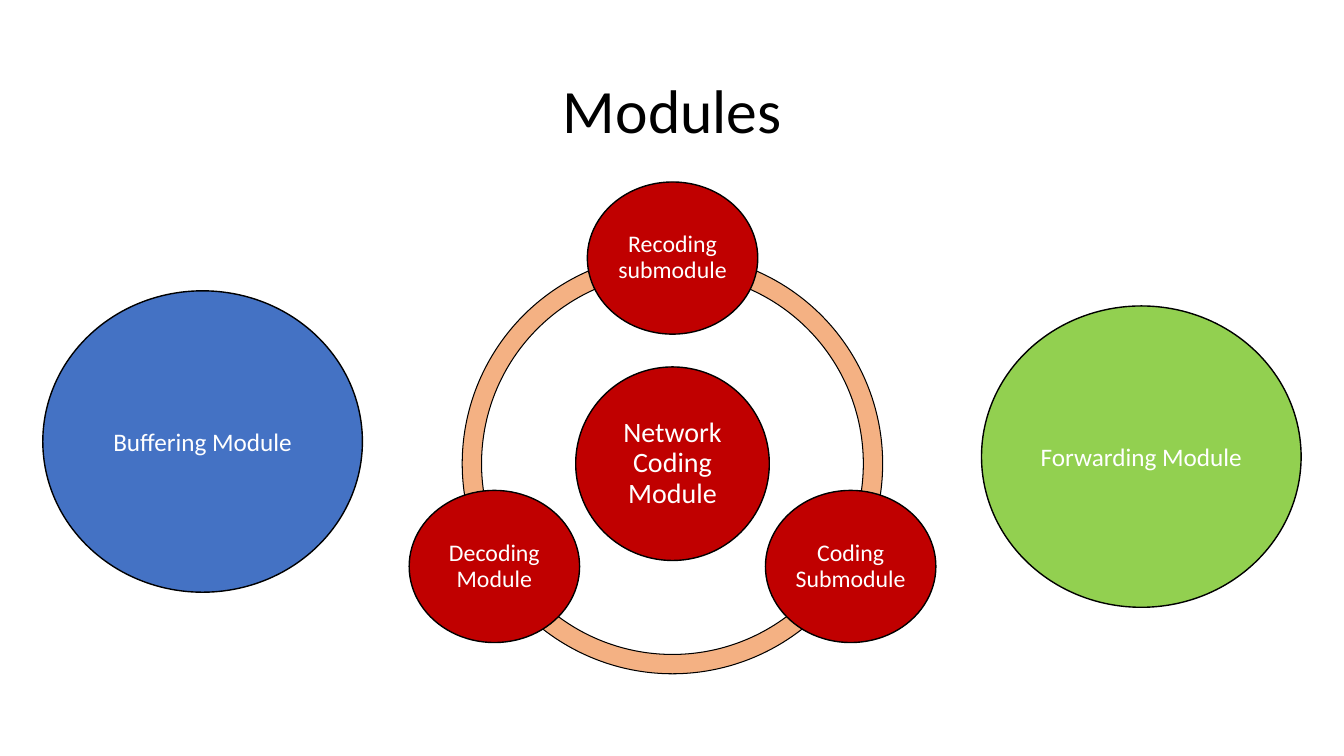
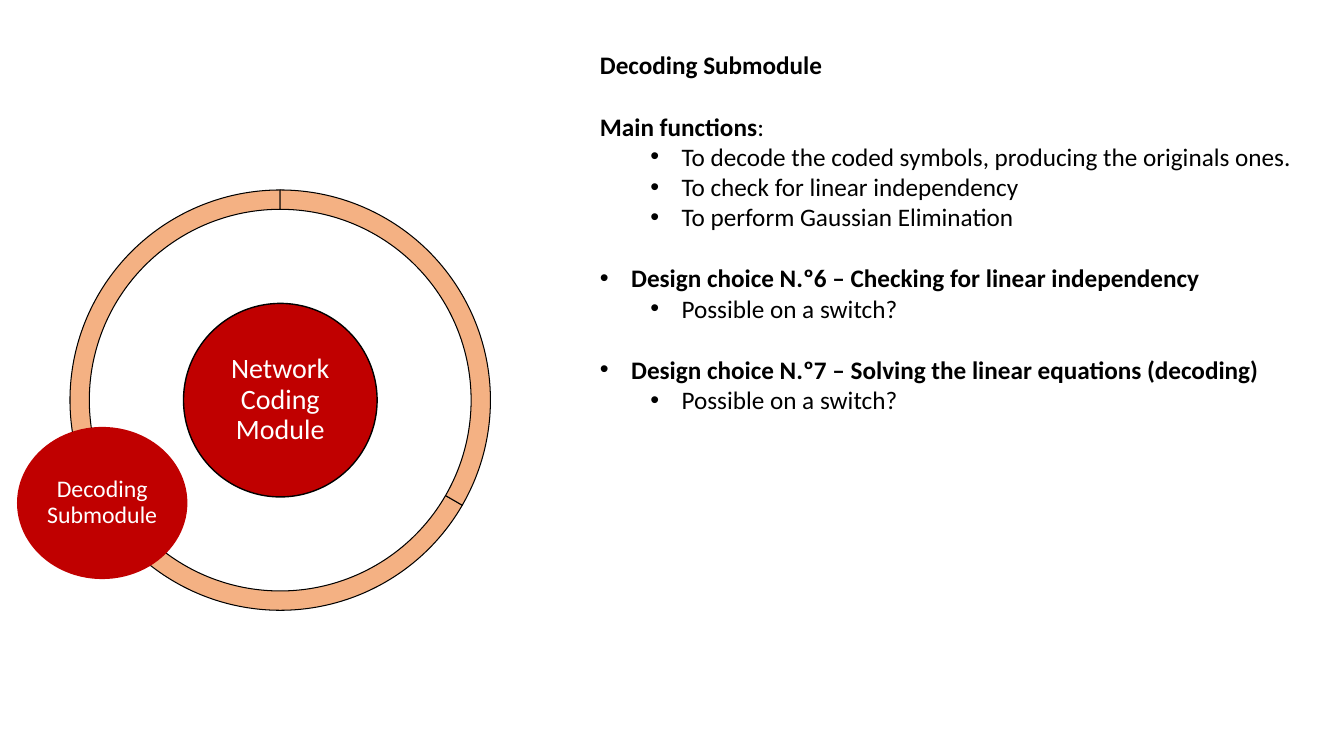
from math import cos, radians, sin

from lxml.etree import SubElement
from pptx import Presentation
from pptx.dml.color import RGBColor
from pptx.enum.shapes import MSO_SHAPE as Shape
from pptx.enum.text import MSO_ANCHOR as Anchor, MSO_AUTO_SIZE as AutoSize, PP_ALIGN as Align
from pptx.oxml.ns import qn
from pptx.util import Inches, Pt

# Shared look
FONT = "Calibri"
BLACK, WHITE = "000000", "FFFFFF"
RED, BLUE, GREEN, PEACH = "C00000", "4472C4", "92D050", "F4B183"

# Ring geometry: angles run clockwise from the right
RING_SIZE, RING_THICKNESS = 4.17, 0.046
ARC_STARTS, ARC_SWEEP = (150, 30, 270), 120
HUB_SIZE, NODE_SIZE, ORBIT = (1.92, 1.92), (1.69, 1.51), 2.04
HUB_TEXT = "Network Coding Module"
TOP, LOWER_RIGHT, LOWER_LEFT = 270, 30, 150

# Slide 1: centre, fill and label of the outer modules
MODULE_SIZE = (3.17, 2.99)
MODULES = [
    ((2.01, 4.38), BLUE, "Buffering Module"),
    ((11.32, 4.53), GREEN, "Forwarding Module"),
]
SUBMODULES = [
    (TOP, "Recoding submodule"),
    (LOWER_RIGHT, "Coding Submodule"),
    (LOWER_LEFT, "Decoding Module"),
]

# Slide 2: style and text runs (text, bold) of each paragraph
DECODING_NODE = [(LOWER_LEFT, "Decoding Submodule")]
DECODING_NOTES = [
    ("heading", [("Main functions", True), (":", False)]),
    ("detail", [("To decode the coded symbols, producing the originals ones.", False)]),
    ("detail", [("To check for linear independency", False)]),
    ("detail", [("To perform Gaussian Elimination", False)]),
    ("choice", [("Design choice N.º6 – Checking for linear independency", True)]),
    ("detail", [("Possible on a switch?", False)]),
    ("choice", [("Design choice N.º7 – Solving the linear equations (decoding)", True)]),
    ("detail", [("Possible on a switch?", False)]),
]
# Level, left margin, hanging indent, space before in points, bullet
NOTE_STYLES = {
    "heading": (0, 0, 0, 0, None),
    "choice": (0, 0.31, 0.31, 22, "•"),
    "detail": (1, 0.81, 0.31, 0, "•"),
}


def color(value):
    return RGBColor.from_string(value)


def set_all(target, **values):
    for name, value in values.items():
        setattr(target, name, value)


def place(item, left, top, width, height):
    set_all(item, left=Inches(left), top=Inches(top),
            width=Inches(width), height=Inches(height))


def write(para, text, size, ink=BLACK, bold=False):
    span = para.add_run()
    span.text = text
    set_all(span.font, name=FONT, size=Pt(size), bold=bold)
    span.font.color.rgb = color(ink)


def add_centered(page, kind, center, size, fill, line):
    """Add a filled shape around its centre; a line of 0 means none."""
    width, height = size
    shape = page.shapes.add_shape(
        kind, Inches(center[0] - width / 2), Inches(center[1] - height / 2),
        Inches(width), Inches(height))
    shape.shadow.inherit = False
    shape.fill.solid()
    shape.fill.fore_color.rgb = color(fill)
    if line:
        shape.line.color.rgb = color(BLACK)
        shape.line.width = Pt(line)
    else:
        shape.line.fill.background()
    return shape


def add_circle(page, center, size, fill, label, points, inset=0.02, spacing=0.9, line=1):
    frame = add_centered(page, Shape.OVAL, center, size, fill, line).text_frame
    margin = Inches(inset)
    set_all(frame, word_wrap=True, vertical_anchor=Anchor.MIDDLE, margin_left=margin,
            margin_right=margin, margin_top=margin, margin_bottom=margin)
    para = frame.paragraphs[0]
    set_all(para, alignment=Align.CENTER, line_spacing=spacing)
    write(para, label, points, WHITE)


def add_ring(page, center, nodes, node_line):
    """Draw three arcs, the hub and the nodes orbiting it."""
    for start in ARC_STARTS:
        arc = add_centered(page, Shape.BLOCK_ARC, center, (RING_SIZE, RING_SIZE), PEACH, 0.75)
        # One degree is 60000 units, and adjustments count in 100000 units
        arc.adjustments[0] = start * 0.6
        arc.adjustments[1] = (start + ARC_SWEEP) % 360 * 0.6
        arc.adjustments[2] = RING_THICKNESS
    add_circle(page, center, HUB_SIZE, RED, HUB_TEXT, 20, inset=0.03)
    for angle, label in nodes:
        spot = (center[0] + ORBIT * cos(radians(angle)),
                center[1] + ORBIT * sin(radians(angle)))
        add_circle(page, spot, NODE_SIZE, RED, label, 17, line=node_line)


def set_title(page, text, box, size, bold, align, anchor, spacing):
    title = page.shapes.title
    place(title, *box)
    set_all(title.text_frame, word_wrap=True, auto_size=AutoSize.NONE, vertical_anchor=anchor)
    para = title.text_frame.paragraphs[0]
    set_all(para, alignment=align, line_spacing=spacing)
    write(para, text, size, bold=bold)


def format_note(para, style):
    level, margin, hanging, before, bullet = NOTE_STYLES[style]
    set_all(para, level=level, alignment=Align.LEFT, line_spacing=1.0,
            space_before=Pt(before), space_after=Pt(0))
    props = para._p.get_or_add_pPr()
    props.set("marL", str(Inches(margin)))
    props.set("indent", str(-Inches(hanging)))
    if bullet:
        SubElement(props, qn("a:buFont")).set("typeface", "Arial")
        SubElement(props, qn("a:buChar")).set("char", bullet)
    else:
        SubElement(props, qn("a:buNone"))


def build_modules(deck):
    page = deck.slides.add_slide(deck.slide_layouts[5])
    set_title(page, "Modules", (0.92, 0.4, 11.5, 1.45), 44, False,
              Align.CENTER, Anchor.MIDDLE, 0.9)
    add_ring(page, (6.67, 4.6), SUBMODULES, node_line=1)
    for center, fill, label in MODULES:
        add_circle(page, center, MODULE_SIZE, fill, label, 18, inset=0.1, spacing=1.0)


def build_decoding(deck):
    page = deck.slides.add_slide(deck.slide_layouts[1])
    set_title(page, "Decoding Submodule", (5.85, 0.44, 7.25, 0.4), 18, True,
              Align.LEFT, Anchor.TOP, 1.0)
    add_ring(page, (2.78, 3.97), DECODING_NODE, node_line=0)
    body = page.placeholders[1]
    place(body, 5.85, 1.05, 7.25, 3.43)
    frame = body.text_frame
    set_all(frame, word_wrap=True, auto_size=AutoSize.NONE, vertical_anchor=Anchor.TOP)
    for index, (style, runs) in enumerate(DECODING_NOTES):
        para = frame.add_paragraph() if index else frame.paragraphs[0]
        format_note(para, style)
        for text, bold in runs:
            write(para, text, 18, bold=bold)


def main():
    deck = Presentation()
    set_all(deck, slide_width=Inches(13.33), slide_height=Inches(7.5))
    build_modules(deck)
    build_decoding(deck)
    deck.save("out.pptx")


if __name__ == "__main__":
    main()
